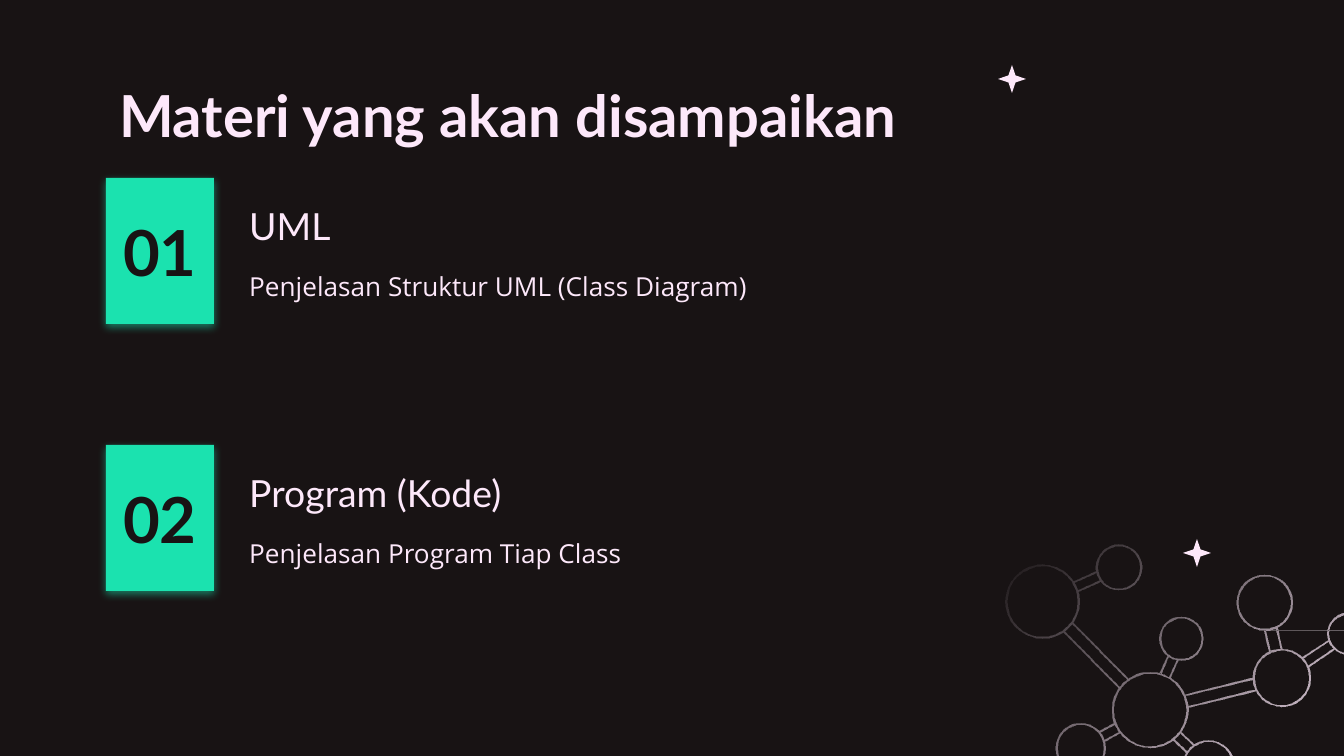
from math import cos, hypot, pi, sin, sqrt

from lxml.etree import SubElement
from pptx import Presentation
from pptx.dml.color import RGBColor
from pptx.enum.shapes import MSO_SHAPE
from pptx.enum.text import MSO_ANCHOR, PP_ALIGN
from pptx.oxml.ns import qn
from pptx.util import Emu, Inches, Pt

INK = RGBColor(0x18, 0x13, 0x14)
PINK = RGBColor(0xFD, 0xE8, 0xFA)
MINT = RGBColor(0x1B, 0xE2, 0xAF)
EMU_PER_PX = 914400 / 134.4
FINE = 20
INSET = Inches(0.1)
TOPICS = [
    ("01", "UML", "Penjelasan Struktur UML (Class Diagram)"),
    ("02", "Program (Kode)", "Penjelasan Program Tiap Class"),
]
ATOMS = {
    "far_left": (39, 56, 37), "top": (115, 22, 23), "upper_right": (260, 57, 28),
    "middle": (177, 93, 22), "edge": (343, 88, 21), "right": (277, 132, 29),
    "hub": (146, 164, 38), "low_left": (77, 202, 25), "low_right": (204, 220, 26),
}
BONDS = [
    ("far_left", "top", 5), ("far_left", "hub", 6), ("hub", "middle", 5),
    ("hub", "right", 6), ("hub", "low_left", 5), ("hub", "low_right", 5),
    ("right", "upper_right", 6), ("right", "edge", 5),
]


def px(length):
    """Turn pixels into EMU."""
    return Emu(round(length * EMU_PER_PX))


def write(shape, text, font, size, color, bold=False, anchor=MSO_ANCHOR.TOP,
          align=PP_ALIGN.LEFT, spacing=1.0):
    """Put one styled run into a shape."""
    frame = shape.text_frame
    frame.word_wrap = True
    frame.vertical_anchor = anchor
    frame.margin_left = frame.margin_right = INSET
    frame.margin_top = frame.margin_bottom = INSET
    paragraph = frame.paragraphs[0]
    paragraph.alignment = align
    paragraph.line_spacing = spacing
    run = paragraph.add_run()
    run.text = text
    run.font.name = font
    run.font.size = Pt(size)
    run.font.bold = bold
    run.font.color.rgb = color


def add_label(slide, left, top, width, height, text, font, size, **style):
    """Add a pink text box."""
    label = slide.shapes.add_textbox(px(left), px(top), px(width), px(height))
    write(label, text, font, size, PINK, **style)


def add_solid(slide, preset, left, top, width, height, color):
    """Add a filled preset shape without outline or shadow."""
    solid = slide.shapes.add_shape(preset, px(left), px(top), px(width), px(height))
    solid.shadow.inherit = False
    solid.fill.solid()
    solid.fill.fore_color.rgb = color
    solid.line.fill.background()
    return solid


def add_glow(badge):
    """Give a badge its soft mint shadow."""
    effects = badge._element.spPr.find(qn("a:effectLst"))
    shadow = SubElement(effects, qn("a:outerShdw"), blurRad=str(Pt(4.5)),
                        dist=str(Pt(1.5)), dir="5400000", algn="bl", rotWithShape="0")
    color = SubElement(shadow, qn("a:srgbClr"), val=str(MINT))
    SubElement(color, qn("a:alpha"), val="50000")


def add_topic(slide, left, top, number, heading, detail):
    """Add a numbered badge with its heading and detail."""
    text_left = left + 130
    add_label(slide, text_left, top + 74, 657, 62, detail, "Open Sans", 14, spacing=1.15)
    badge = add_solid(slide, MSO_SHAPE.RECTANGLE, left, top, 108, 146, MINT)
    add_glow(badge)
    write(badge, number, "Lato", 34, INK, bold=True,
          anchor=MSO_ANCHOR.MIDDLE, align=PP_ALIGN.CENTER)
    add_label(slide, text_left, top - 1, 657, 84, heading, "Lato", 20,
              anchor=MSO_ANCHOR.BOTTOM, spacing=1.15)


def add_star(slide, left, top):
    """Add a four-pointed sparkle."""
    star = add_solid(slide, MSO_SHAPE.STAR_4_POINT, left, top, 28, 28, PINK)
    star.adjustments[0] = 0.179


def circle(x, y, radius, turn):
    """Return the corners of a fine polygon, run in the given direction."""
    angles = [turn * 2 * pi * step / 32 for step in range(32)]
    return [(x + radius * cos(angle), y + radius * sin(angle)) for angle in angles]


def bond_strips(start, end, offset):
    """Return the two thin strips that join a pair of atoms."""
    (x1, y1, r1), (x2, y2, r2) = ATOMS[start], ATOMS[end]
    distance = hypot(x2 - x1, y2 - y1)
    ux, uy = (x2 - x1) / distance, (y2 - y1) / distance
    near = sqrt(r1 * r1 - offset * offset)
    far = distance - sqrt(r2 * r2 - offset * offset)
    strips = []
    for side in (-offset, offset):
        corners = [(near, side - 0.8), (far, side - 0.8), (far, side + 0.8), (near, side + 0.8)]
        strips.append([(x1 + ux * along - uy * across, y1 + uy * along + ux * across)
                       for along, across in corners])
    return strips


def add_molecule(slide, left, top):
    """Add the molecule as one outline that fades in along the diagonal."""
    contours = []
    for x, y, radius in ATOMS.values():
        contours += [circle(x, y, radius, 1), circle(x, y, radius - 1.8, -1)]
    for bond in BONDS:
        contours += bond_strips(*bond)
    contours = [[(round((left + x) * FINE), round((top + y) * FINE)) for x, y in contour]
                for contour in contours]
    builder = slide.shapes.build_freeform(*contours[0][0], scale=EMU_PER_PX / FINE)
    builder.add_line_segments(contours[0][1:], close=True)
    for contour in contours[1:]:
        builder.move_to(*contour[0])
        builder.add_line_segments(contour[1:], close=True)
    molecule = builder.convert_to_shape()
    molecule.shadow.inherit = False
    molecule.line.fill.background()
    molecule.fill.gradient()
    molecule.fill.gradient_angle = 315
    for stop, position in zip(molecule.fill.gradient_stops, (0, 1)):
        stop.position = position
        stop.color.rgb = PINK
    clear = next(molecule._element.spPr.iter(qn("a:srgbClr")))
    SubElement(clear, qn("a:alpha"), val="0")


def add_agenda(slide, left, top, width):
    """Add the title and the list of topics."""
    add_label(slide, left, top, width, 85, "Materi yang akan disampaikan", "Lato", 31, bold=True)
    for index, topic in enumerate(TOPICS):
        add_topic(slide, left, top + 112 + index * 267, *topic)


def main():
    """Build and save the slide."""
    deck = Presentation()
    deck.slide_width, deck.slide_height = px(1344), px(756)
    slide = deck.slides.add_slide(deck.slide_layouts[6])
    slide.background.fill.solid()
    slide.background.fill.fore_color.rgb = INK
    add_star(slide, 998, 65)
    add_molecule(slide, 1004, 546)
    add_star(slide, 1183, 539)
    add_agenda(slide, 106, 66, 1133)
    deck.save("out.pptx")


if __name__ == "__main__":
    main()
